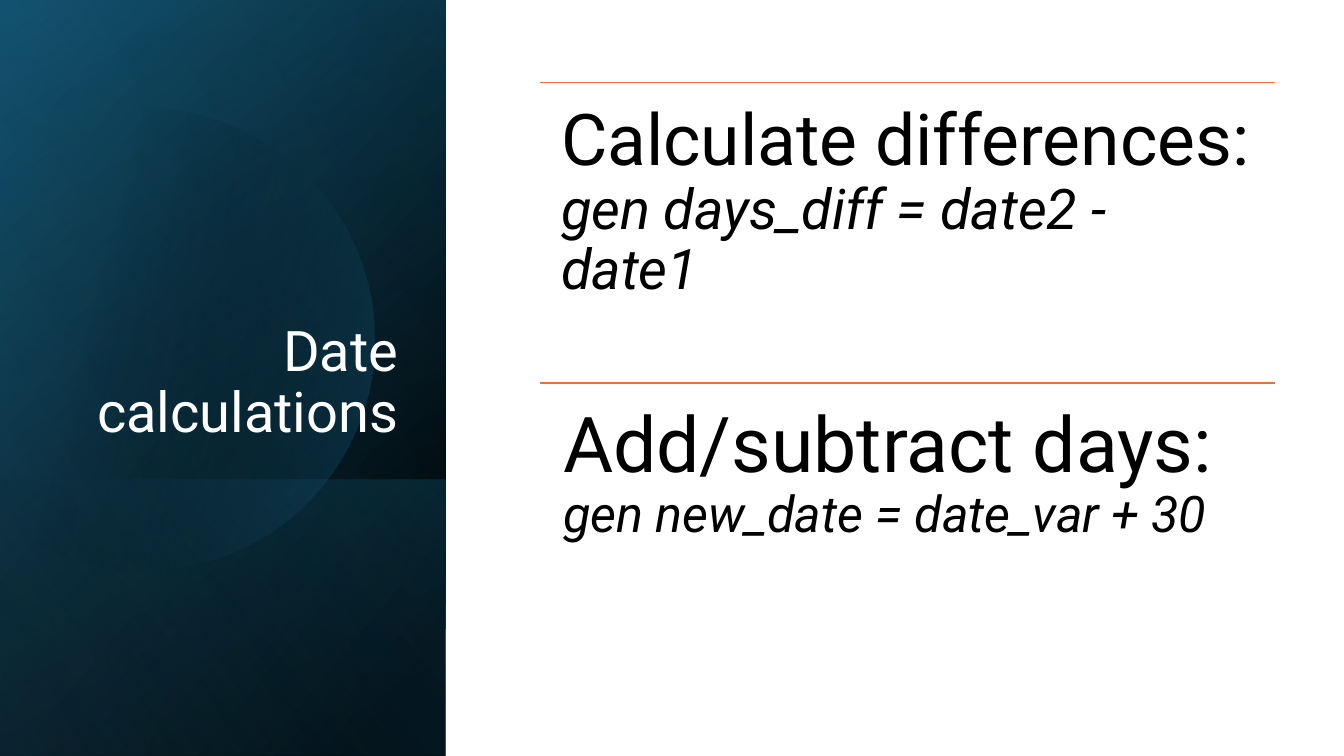
from math import acos, cos, pi, sin

from pptx import Presentation
from pptx.dml.color import RGBColor
from pptx.enum.shapes import MSO_CONNECTOR as Connector, MSO_SHAPE as Shape
from pptx.enum.text import MSO_ANCHOR as Anchor, MSO_AUTO_SIZE as AutoSize, PP_ALIGN as Align
from pptx.oxml import parse_xml
from pptx.oxml.ns import nsdecls
from pptx.util import Cm, Pt

COLORS = {
    "black": "000000", "white": "FFFFFF", "deep": "104862",
    "teal": "156082", "sky": "46B1E1", "orange": "E97132",
}
FONT = "Roboto"


def paint_gradient(shape, angle, stops):
    """Fill a shape with (position %, colour name, opacity %) stops, without outline."""
    marks = "".join(
        f'<a:gs pos="{position * 1000}"><a:srgbClr val="{COLORS[name]}">'
        f'<a:alpha val="{opacity * 1000}"/></a:srgbClr></a:gs>'
        for position, name, opacity in stops)
    shape.shadow.inherit = False
    shape.line.fill.background()
    shape._element.spPr.insert(2, parse_xml(
        f'<a:gradFill {nsdecls("a")} rotWithShape="1"><a:gsLst>{marks}</a:gsLst>'
        f'<a:lin ang="{angle * 60000}" scaled="0"/></a:gradFill>'))


def add_span(para, text, size, color, italic=False):
    span = para.add_run()
    span.text = text
    span.font.name = FONT
    span.font.size = Pt(size)
    span.font.italic = italic
    span.font.color.rgb = RGBColor.from_string(COLORS[color])


deck = Presentation()
deck.slide_width, deck.slide_height = Cm(33.87), Cm(19.05)
page = deck.slides.add_slide(deck.slide_layouts[5])

# Side panel: stacked gradients with a soft disc near the top
panel_width, panel_height, lower_top = 11.23, 19.05, 12.09
layers = [
    (0, 220, [(8, "black", 100), (100, "deep", 100)]),
    (0, 240, [(0, "black", 0), (99, "teal", 46)]),
    (lower_top, 140, [(2, "teal", 29), (100, "black", 30)]),
    (0, 150, [(0, "black", 0), (99, "sky", 11)]),
]
for number, (top, angle, stops) in enumerate(layers):
    if number == 3:
        center_x, center_y, radius = 3.63, 8.56, 5.82
        reach = acos(-center_x / radius)  # the disc is cut at the left page edge
        steps = 120
        turns = [reach * (2 * step / steps - 1) for step in range(steps + 1)]
        points = [(Cm(center_x + radius * cos(turn)), Cm(center_y + radius * sin(turn)))
                  for turn in turns]
        outline = page.shapes.build_freeform(*points[0])
        outline.add_line_segments(points[1:], close=True)
        paint_gradient(outline.convert_to_shape(), 14, [(29, "black", 0), (100, "teal", 43)])
    layer = page.shapes.add_shape(
        Shape.RECTANGLE, 0, Cm(top), Cm(panel_width), Cm(panel_height - top))
    paint_gradient(layer, angle, stops)

# Title, brought in front of the panel
title = page.shapes.title
page.shapes._spTree.append(title._element)
title.left, title.top, title.width, title.height = Cm(1.63), Cm(4.67), Cm(8.66), Cm(6.65)
title.text_frame.word_wrap = True
title.text_frame.auto_size = AutoSize.NONE
title.text_frame.vertical_anchor = Anchor.BOTTOM
para = title.text_frame.paragraphs[0]
para.alignment = Align.RIGHT
para.line_spacing = 0.9
add_span(para, "Date calculations", 40, "white")

# Two entries, each under a rule
left, first_top, width, height = 13.61, 2.08, 18.53, 7.57
entries = [
    ("Calculate differences:", 51, "gen days_diff = date2 - date1", 40, 0.53),
    ("Add/subtract days:", 55, "gen new_date = date_var + 30", 36, 0.58),
]
for row, (heading, heading_size, command, command_size, inset) in enumerate(entries):
    top = first_top + row * height
    rule = page.shapes.add_connector(
        Connector.STRAIGHT, Cm(left), Cm(top), Cm(left + width), Cm(top))
    rule.line.color.rgb = RGBColor.from_string(COLORS["orange"])
    rule.line.width = Pt(1)
    rule._element.spPr.append(parse_xml(f'<a:effectLst {nsdecls("a")}/>'))

    frame = page.shapes.add_textbox(Cm(left), Cm(top), Cm(width), Cm(height)).text_frame
    frame.word_wrap = True
    frame.margin_left = frame.margin_right = Cm(inset)
    frame.margin_top = frame.margin_bottom = Cm(inset)
    para = frame.paragraphs[0]
    para.line_spacing = 0.9
    add_span(para, heading, heading_size, "black")
    para.add_line_break()
    add_span(para, command, command_size, "black", italic=True)

deck.save("out.pptx")
